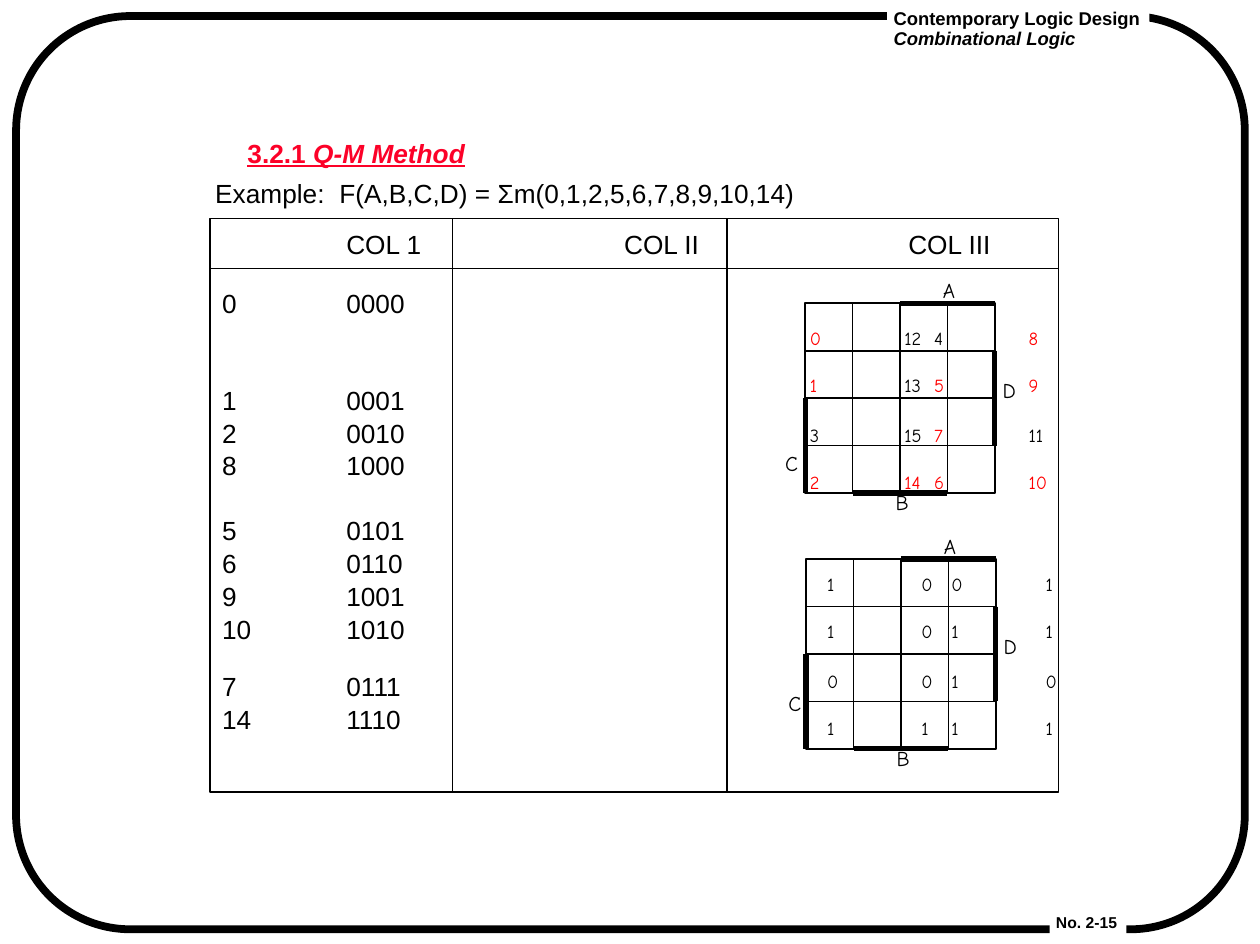
from dataclasses import dataclass

from lxml.etree import SubElement
from pptx import Presentation
from pptx.dml.color import RGBColor
from pptx.enum.shapes import MSO_CONNECTOR as Connector, MSO_SHAPE as Preset
from pptx.enum.text import MSO_ANCHOR as Anchor, PP_ALIGN as Align
from pptx.oxml.ns import qn
from pptx.shapes.autoshape import Shape
from pptx.shapes.connector import Connector as Line
from pptx.slide import Slide
from pptx.util import Cm, Pt


@dataclass(frozen=True)
class Theme:
    black: RGBColor = RGBColor(0, 0, 0)
    white: RGBColor = RGBColor(255, 255, 255)
    title_red: RGBColor = RGBColor(0xFC, 0x01, 0x28)
    minterm_red: RGBColor = RGBColor(255, 0, 0)
    sans: str = "Arial"
    hand: str = "Comic Neue"
    body: float = 15.2
    label: float = 12.2
    cell: float = 10.7
    number: float = 9.1
    thin: float = 1
    bar: float = 3
    border: float = 4.5


THEME = Theme()


@dataclass(frozen=True)
class Box:
    left: float
    top: float
    width: float
    height: float

    def lengths(self) -> tuple[Cm, ...]:
        return tuple(Cm(v) for v in (self.left, self.top, self.width, self.height))


@dataclass(frozen=True)
class Span:
    text: str
    color: RGBColor = THEME.black
    italic: bool = False


@dataclass(frozen=True)
class Para:
    spans: list[Span]
    before: float = 0


@dataclass(frozen=True)
class KarnaughMap:
    left: float
    top: float
    text_offset: tuple[float, float]
    c_offset: tuple[float, float]
    shows_index: bool


@dataclass(frozen=True)
class MintermGroup:
    minterms: list[int]
    before: float


MINTERMS = {0, 1, 2, 5, 6, 7, 8, 9, 10, 14}
GRAY_ROWS = [[0, 4, 12, 8], [1, 5, 13, 9], [3, 7, 15, 11], [2, 6, 14, 10]]
GROUPS = [
    MintermGroup([0], 23.1),
    MintermGroup([1, 2, 8], 45.1),
    MintermGroup([5, 6, 9, 10], 26.6),
    MintermGroup([7, 14], 22.5),
]
ROW_GAP = 8.1
MAPS = [
    KarnaughMap(16.46, 6.2, (0.05, 0.41), (-0.46, 3.05), True),
    KarnaughMap(16.48, 11.43, (0.38, 0.2), (-0.41, 2.72), False),
]
LABELS = {"A": (2.77, -0.48), "B": (1.8, 3.84), "D": (3.99, 1.55)}
CELL = 0.97
TOP, LEFT, BOTTOM, RIGHT = range(4)


def write(page: Slide, box: Box, paras: list[Para], *, size: float,
          font: str = THEME.sans, bold: bool = False, underline: bool = False,
          spacing: float | Pt = 0.85, tabs: tuple[float, ...] = (),
          inset: tuple[float, float] = (0.13, 0.05),
          fill: RGBColor | None = None) -> None:
    shape = page.shapes.add_textbox(*box.lengths())
    if fill is not None:
        shape.fill.solid()
        shape.fill.fore_color.rgb = fill
    frame = shape.text_frame
    frame.word_wrap = True
    frame.vertical_anchor = Anchor.TOP
    frame.margin_left = frame.margin_right = Cm(inset[0])
    frame.margin_top = frame.margin_bottom = Cm(inset[1])
    for index, para in enumerate(paras):
        line = frame.add_paragraph() if index else frame.paragraphs[0]
        line.alignment = Align.LEFT
        line.line_spacing = spacing
        if para.before:
            line.space_before = Pt(para.before)
        if tabs:
            stops = SubElement(line._p.get_or_add_pPr(), qn("a:tabLst"))
            for stop in tabs:
                SubElement(stops, qn("a:tab"), pos=str(Cm(stop)), algn="l")
        for span in para.spans:
            run = line.add_run()
            run.text = span.text
            run.font.name, run.font.size = font, Pt(size)
            run.font.bold, run.font.italic = bold, span.italic
            run.font.underline = underline
            run.font.color.rgb = span.color


def outline(page: Slide, box: Box, *, preset: Preset = Preset.RECTANGLE,
            weight: float = THEME.thin) -> Shape:
    shape = page.shapes.add_shape(preset, *box.lengths())
    shape.shadow.inherit = False
    shape.fill.background()
    shape.line.color.rgb = THEME.black
    shape.line.width = Pt(weight)
    return shape


def rule(page: Slide, x1: float, y1: float, x2: float, y2: float,
         weight: float = THEME.thin) -> Line:
    line = page.shapes.add_connector(Connector.STRAIGHT, Cm(x1), Cm(y1), Cm(x2), Cm(y2))
    line.line.color.rgb = THEME.black
    line.line.width = Pt(weight)
    SubElement(line._element.spPr, qn("a:effectLst"))
    return line


def join(page: Slide, start: Shape, start_side: int, end: Shape, end_side: int,
         weight: float = THEME.thin) -> None:
    """Draw a line between the middles of two rectangle sides."""
    line = rule(page, 0, 0, 1, 1, weight)
    line.begin_connect(start, start_side)
    line.end_connect(end, end_side)


def cell_span(minterm: int, shows_index: bool, ending: str) -> Span:
    covered = minterm in MINTERMS
    if shows_index:
        return Span(f"{minterm}{ending}", THEME.minterm_red if covered else THEME.black)
    return Span(f"{int(covered)}{ending}")


def draw_map(page: Slide, kmap: KarnaughMap) -> None:
    quads = {}
    for row in range(2):
        for column in range(2):
            quad = outline(page, Box(kmap.left + 2 * CELL * column,
                                     kmap.top + 2 * CELL * row, 2 * CELL, 2 * CELL))
            quads[row, column] = quad
            join(page, quad, TOP, quad, BOTTOM)
            join(page, quad, LEFT, quad, RIGHT)
            paras = []
            for index, minterms in enumerate(GRAY_ROWS[2 * row:2 * row + 2]):
                first, second = minterms[2 * column:2 * column + 2]
                paras.append(Para([cell_span(first, kmap.shows_index, "\t"),
                                   cell_span(second, kmap.shows_index, "")], 13.7 * index))
            write(page, Box(kmap.left + kmap.text_offset[0] + 1.93 * column,
                            kmap.top + kmap.text_offset[1] + 1.98 * row, 3.3, 1.73),
                  paras, size=THEME.cell, font=THEME.hand, spacing=Pt(13.7),
                  tabs=(2.54,), inset=(0.05, 0.05))

    right, bottom = kmap.left + 4 * CELL, kmap.top + 4 * CELL
    rule(page, kmap.left + 2 * CELL, kmap.top, right, kmap.top, THEME.bar)
    rule(page, kmap.left, kmap.top + 2 * CELL, kmap.left, bottom, THEME.bar)
    join(page, quads[1, 0], BOTTOM, quads[1, 1], BOTTOM, THEME.bar)
    join(page, quads[0, 1], RIGHT, quads[1, 1], RIGHT, THEME.bar)
    for name, (across, down) in {**LABELS, "C": kmap.c_offset}.items():
        write(page, Box(kmap.left + across, kmap.top + down, 1.2, 0.69),
              [Para([Span(name)])], size=THEME.label, font=THEME.hand,
              spacing=Pt(12.2), inset=(0.05, 0.05))


def draw_page_frame(page: Slide) -> None:
    border = outline(page, Box(0.33, 0.33, 25.12, 18.67),
                     preset=Preset.ROUNDED_RECTANGLE, weight=THEME.border)
    border.adjustments[0] = 0.125
    write(page, Box(18.14, 0.15, 5.36, 0.94),
          [Para([Span("Contemporary Logic Design")]),
           Para([Span("Combinational Logic", italic=True)])],
          size=THEME.cell, bold=True, spacing=0.9, fill=THEME.white)
    write(page, Box(21.46, 18.64, 1.57, 0.48), [Para([Span("No. 2-15")])],
          size=THEME.number, bold=True, spacing=0.97, fill=THEME.white)


def draw_columns(page: Slide) -> None:
    table = Box(4.29, 4.47, 17.35, 11.73)
    outline(page, table)
    for x in (9.25, 14.86):
        rule(page, x, table.top, x, table.top + table.height)
    rule(page, table.left, 5.49, table.left + table.width, 5.49)
    paras = [Para([Span("\tCOL 1\tCOL II\tCOL III")])]
    for group in GROUPS:
        for index, minterm in enumerate(group.minterms):
            paras.append(Para([Span(f"{minterm}\t{minterm:04b}")],
                              ROW_GAP if index else group.before))
    write(page, Box(table.left, 4.77, table.width, 11.15), paras, size=THEME.body,
          spacing=0.6, tabs=(2.54, 8.22, 14.03), inset=(0.25, 0.13))


def main() -> None:
    deck = Presentation()
    deck.slide_width, deck.slide_height = Cm(25.76), Cm(19.3)
    page = deck.slides.add_slide(deck.slide_layouts[6])
    draw_page_frame(page)
    write(page, Box(4.88, 2.82, 5.2, 0.69),
          [Para([Span("3.2.1 ", THEME.title_red),
                 Span("Q-M Method", THEME.title_red, italic=True)])],
          size=THEME.body, bold=True, underline=True, inset=(0.18, 0.08))
    write(page, Box(4.27, 3.68, 12.24, 0.66),
          [Para([Span("Example:\tF(A,B,C,D) = Σm(0,1,2,5,6,7,8,9,10,14)")])],
          size=THEME.body, tabs=(2.54,))
    draw_columns(page)
    for kmap in MAPS:
        draw_map(page, kmap)
    deck.save("out.pptx")


if __name__ == "__main__":
    main()
